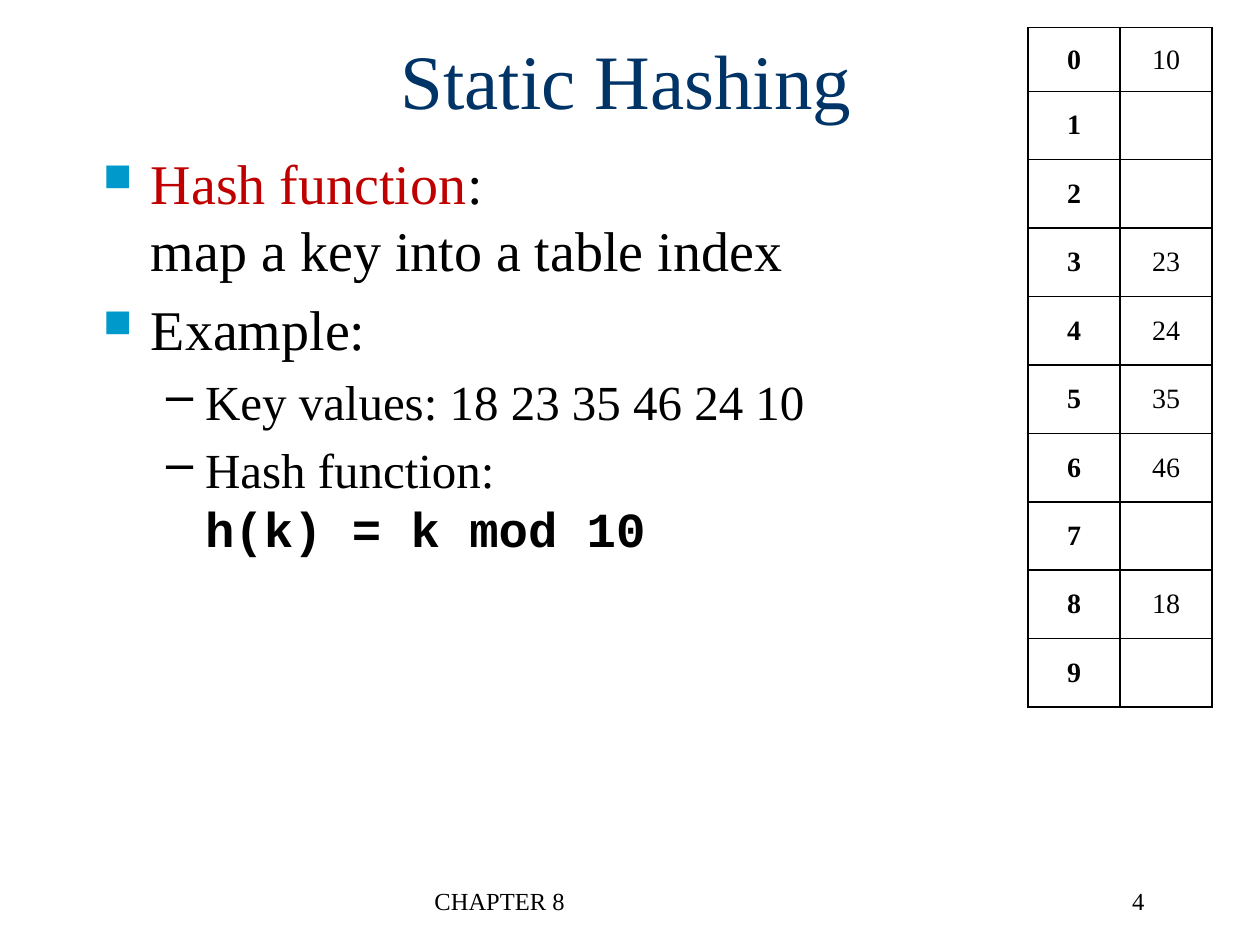
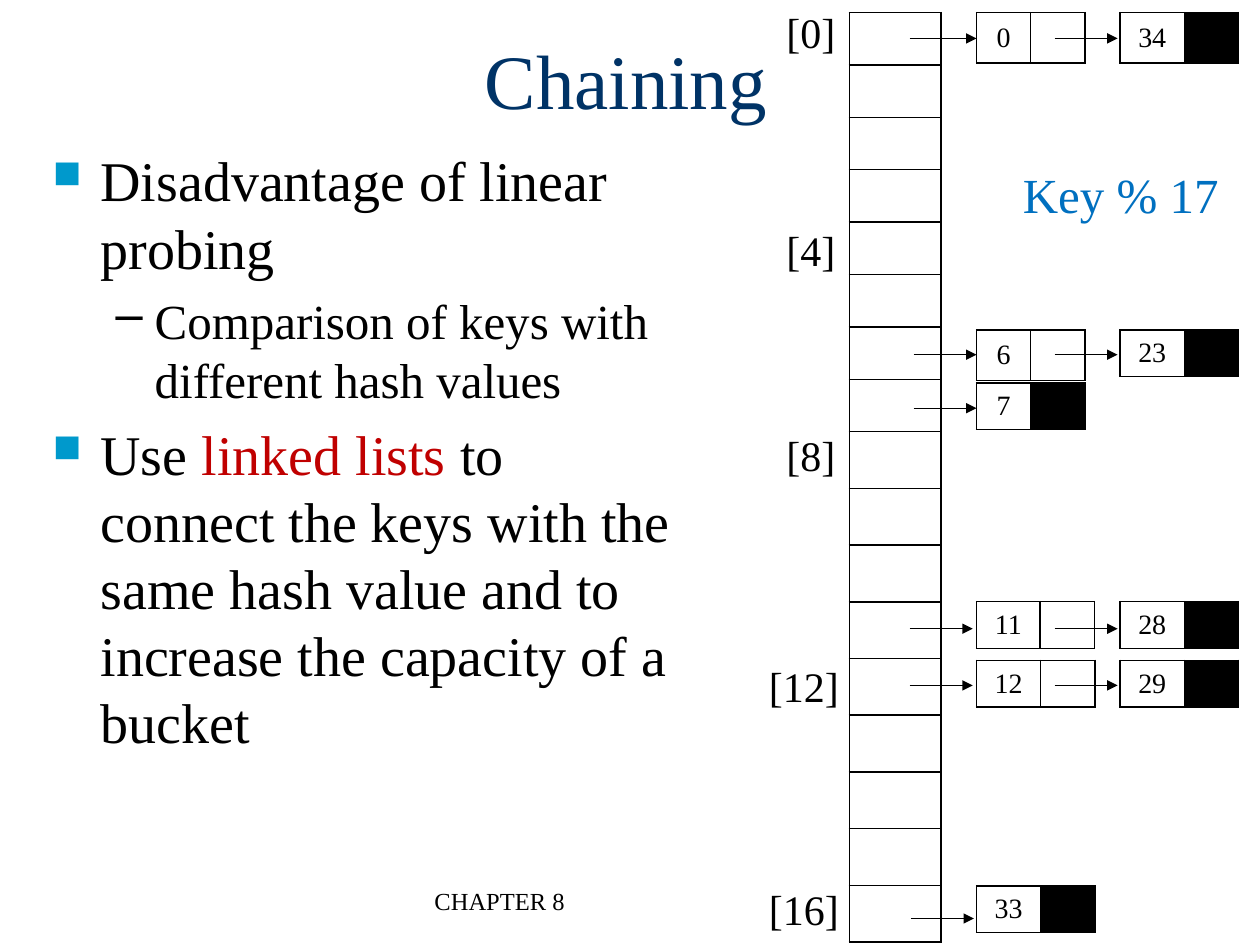
from lxml import etree
from pptx import Presentation
from pptx import util as u
from pptx.dml.color import RGBColor
from pptx.enum import shapes, text
from pptx.oxml.ns import qn

COLUMNS, ROWS = 100, 75
FONT, CODE_FONT = "Times New Roman", "Courier New"
BLACK, WHITE, NAVY, RED = "000000", "FFFFFF", "003366", "C00000"
BULLET_BLUE, NOTE_BLUE = "0099CC", "0070C0"
LEFT, CENTER, RIGHT = (text.PP_ALIGN.LEFT, text.PP_ALIGN.CENTER,
                       text.PP_ALIGN.RIGHT)
# Per outline level: size, left margin, hanging indent (inches), bullet
LEVELS = [(32, 0.38, -0.38, "■"), (28, 0.81, -0.31, "–")]


def rgb(color):
    return RGBColor.from_string(color)


def add_xml(parent, tag, **attributes):
    return etree.SubElement(parent, qn(tag), attributes)


class Deck:
    """Shared style, and the slide being drawn on a 100 x 75 grid."""

    def __init__(self):
        self.prs = Presentation()
        self.prs.slide_width, self.prs.slide_height = u.Inches(10), u.Inches(7.5)
        self.s = None

    def x(self, columns):
        return round(self.prs.slide_width * columns / COLUMNS)

    def y(self, rows):
        return round(self.prs.slide_height * rows / ROWS)

    def box(self, left, top, width, height):
        return self.x(left), self.y(top), self.x(width), self.y(height)

    def new_slide(self, title, number=None):
        self.s = self.prs.slides.add_slide(self.prs.slide_layouts[6])
        self.text("CHAPTER 8", (33.5, 69.8, 31.7, 5), 14)
        if number:
            self.text(number, (71, 69.8, 20.8, 5), 14, align=RIGHT)
        self.text(title, (7.2, 0, 85, 12.5), 44, NAVY, CENTER,
                  anchor=text.MSO_ANCHOR.MIDDLE)

    def style(self, r, size, color=BLACK, font=FONT, bold=False):
        r.font.size, r.font.name, r.font.bold = u.Pt(size), font, bold
        r.font.color.rgb = rgb(color)

    def text(self, content, at, size, color=BLACK, align=LEFT, wrap=True,
             anchor=text.MSO_ANCHOR.TOP):
        tf = self.s.shapes.add_textbox(*self.box(*at)).text_frame
        tf.word_wrap, tf.vertical_anchor = wrap, anchor
        p = tf.paragraphs[0]
        p.text, p.alignment = content, align
        self.style(p.runs[0], size, color)

    def outline(self, at, items):
        """Each item is a level and its parts: (text, style); None is a break."""
        tf = self.s.shapes.add_textbox(*self.box(*at)).text_frame
        tf.word_wrap = True
        for i, (level, parts) in enumerate(items):
            p = tf.add_paragraph() if i else tf.paragraphs[0]
            size, margin, indent, bullet = LEVELS[level]
            p.level = level
            if i:
                p.space_before = u.Pt(size * 0.2)
            pPr = p._p.get_or_add_pPr()
            pPr.set("marL", str(u.Inches(margin)))
            pPr.set("indent", str(u.Inches(indent)))
            if level == 0:
                add_xml(add_xml(pPr, "a:buClr"), "a:srgbClr", val=BULLET_BLUE)
                add_xml(pPr, "a:buSzPct", val="70000")
            add_xml(pPr, "a:buChar", char=bullet)
            for part in parts:
                if part is None:
                    p.add_line_break()
                    continue
                r = p.add_run()
                r.text = part[0]
                self.style(r, size, **part[1])

    def table(self, left, top, widths, heights, cells):
        """Each cell is (text, bold, fill)."""
        at = self.box(left, top, sum(widths), sum(heights))
        table = self.s.shapes.add_table(len(heights), len(widths), *at).table
        table.first_row = table.horz_banding = False
        for column, width in zip(table.columns, widths):
            column.width = self.x(width)
        for row, height, values in zip(table.rows, heights, cells):
            row.height = self.y(height)
            for cell, value in zip(row.cells, values):
                self.cell(cell, *value)

    def cell(self, cell, content, bold=False, fill=WHITE):
        cell.fill.solid()
        cell.fill.fore_color.rgb = rgb(fill)
        tcPr = cell._tc.get_or_add_tcPr()
        for i, side in enumerate("LRTB"):
            ln = add_xml(tcPr, f"a:ln{side}", w=str(u.Pt(1)))
            add_xml(add_xml(ln, "a:solidFill"), "a:srgbClr", val=BLACK)
            tcPr.insert(i, ln)
        if not content:
            cell.margin_top = cell.margin_bottom = 0
            return
        cell.vertical_anchor = text.MSO_ANCHOR.MIDDLE
        p = cell.text_frame.paragraphs[0]
        p.text, p.alignment = content, CENTER
        self.style(p.runs[0], 16, bold=bold)

    def arrow(self, start, end, level):
        c = self.s.shapes.add_connector(
            shapes.MSO_CONNECTOR.STRAIGHT, self.x(start), self.y(level),
            self.x(end), self.y(level))
        c.line.color.rgb, c.line.width = rgb(BLACK), u.Pt(0.75)
        add_xml(c.line._get_or_add_ln(), "a:tailEnd", type="triangle")
        add_xml(c._element.spPr, "a:effectLst")

    def node(self, left, top, key_width, height, key, last):
        """A linked-list node; a black pointer field ends the list."""
        pointer = ("", False, BLACK if last else WHITE)
        self.table(left, top, (key_width, 4.3), [height], [[(key,), pointer]])


def static_hashing(deck):
    deck.new_slide("Static Hashing", "4")
    deck.outline((7.2, 11.3, 85, 21.7), [
        (0, [("Hash function", {"color": RED}), (":", {}), None,
             ("map a key into a table index", {})]),
        (0, [("Example:", {})]),
        (1, [("Key values: 18 23 35 46 24 10", {})]),
        (1, [("Hash function:", {}), None,
             ("h(k) = k mod 10", {"font": CODE_FONT, "bold": True})]),
    ])

    # Hash table: every key sits at key mod 10
    slots = {key % 10: str(key) for key in (18, 23, 35, 46, 24, 10)}
    deck.table(81.6, 2.2, (7.3, 7.3), [5.05] + [5.43] * 9,
               [[(str(i), True), (slots.get(i, ""),)] for i in range(10)])


def chaining(deck):
    deck.new_slide("Chaining")
    deck.outline((3.2, 11.1, 51.4, 58.7), [
        (0, [("Disadvantage of linear probing", {})]),
        (1, [("Comparison of keys with different hash values", {})]),
        (0, [("Use ", {}), ("linked lists ", {"color": RED}),
             ("to connect the keys with the same hash value and to "
              "increase the capacity of a bucket", {})]),
    ])

    # Bucket array and its index labels
    deck.table(67.4, 1, [7.3], [4.16] * 8 + [4.5] * 9, [[("",)]] * 17)
    for index, top in ((0, 0), (4, 17.3), (8, 33.6), (12, 51.9), (16, 69.6)):
        left, width = (61.4, 5.9) if index < 10 else (60, 7.6)
        deck.text(f"[{index}]", (left, top, width, 5), 24, align=CENTER,
                  wrap=False)

    # Chains: top, key width, heights, keys, arrow level, arrow start and end
    chains = [
        (1, 4.3, (4, 4), ("0", "34"), 3.05, 72.2, 77.5),
        (26.2, 4.3, (4, 3.7), ("6", "23"), 28.15, 72.5, 77.5),
        (30.4, 4.3, (3.7,), ("7",), 32.4, 72.5, 77.5),
        (47.75, 5.05, (3.7, 3.7), ("11", "28"), 49.9, 72.2, 77.2),
        (52.4, 5.1, (3.7, 3.7), ("12", "29"), 54.4, 72.2, 77.2),
        (70.3, 5.1, (3.7,), ("33",), 72.9, 72.3, 77.3),
    ]
    for top, key_width, heights, keys, level, start, end in chains:
        deck.node(77.5, top, key_width, heights[0], keys[0], len(keys) == 1)
        deck.arrow(start, end, level)
        if len(keys) == 2:
            deck.node(88.9, top, 5.1, heights[1], keys[1], True)
            deck.arrow(83.7, 88.7, level)

    deck.text("Key % 17", (80.1, 12.6, 17.7, 5.7), 28, NOTE_BLUE, CENTER,
              wrap=False)


def main():
    deck = Deck()
    static_hashing(deck)
    chaining(deck)
    deck.prs.save("out.pptx")


if __name__ == "__main__":
    main()
